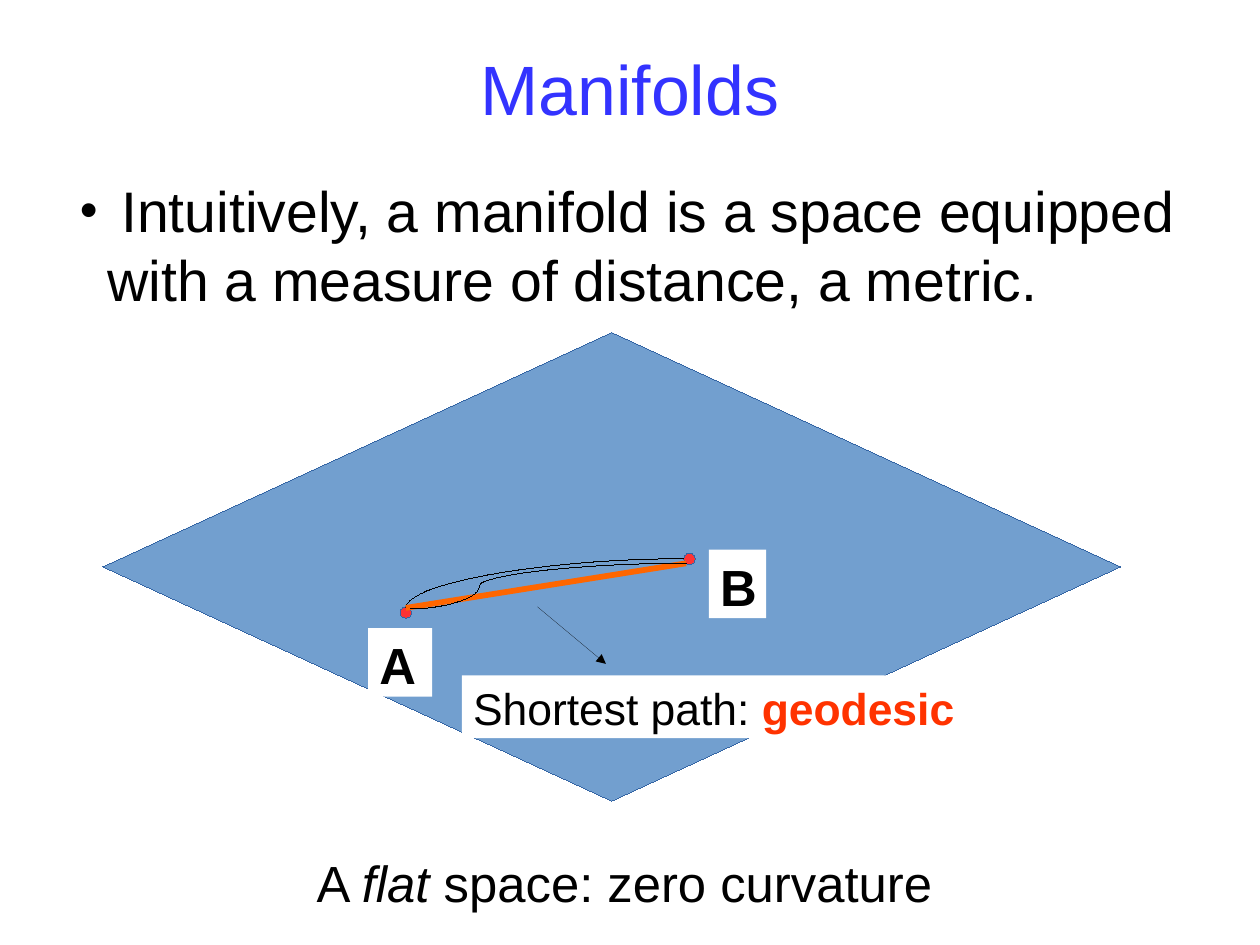
from pptx import Presentation
from pptx.dml.color import RGBColor
from pptx.enum.shapes import MSO_CONNECTOR as Link, MSO_SHAPE as Preset
from pptx.enum.text import MSO_ANCHOR as Anchor, PP_ALIGN as Align
from pptx.oxml.ns import qn
from pptx.util import Cm, Inches, Pt
from lxml.etree import SubElement

WIDTH, HEIGHT = Cm(28), Cm(21)
FONT = "Arial"
BLACK, WHITE = "000000", "FFFFFF"
OUTLINE = "3465A4"
POINT_A, POINT_B = (32.21, 64.81), (54.72, 59.13)
DOT_SIZE = (0.91, 1.21)
LABEL_HEIGHT = 7.26


def color(hex_code):
    return RGBColor.from_string(hex_code)


def place(x, y):
    """Turn percentages of the slide's width and height into lengths."""
    return round(WIDTH * x / 100), round(HEIGHT * y / 100)


def frame(left, top, width, height):
    return *place(left, top), *place(width, height)


def style_font(font, size, hex_code=BLACK, bold=None):
    font.name, font.size, font.bold = FONT, Pt(size), bold
    font.color.rgb = color(hex_code)


def style_line(line, hex_code, width=0):
    """Colour a line; the width is written even when it is a hairline's zero."""
    line.color.rgb = color(hex_code)
    line._get_or_add_ln().set("w", str(Pt(width)))


def add_title(slide, wording, box):
    title = slide.shapes.title
    title.left, title.top, title.width, title.height = frame(*box)
    text = title.text_frame
    text.margin_left = text.margin_right = text.margin_top = text.margin_bottom = 0
    text.vertical_anchor = Anchor.MIDDLE
    text.text = wording
    text.paragraphs[0].alignment = Align.CENTER
    style_font(text.paragraphs[0].font, 44, "3333FF")


def add_text(slide, box, wording, size, fill=None, bold=None, bullet=False):
    """Add a left-aligned text box and return its paragraph's runs."""
    textbox = slide.shapes.add_textbox(*frame(*box))
    if fill:
        textbox.fill.solid()
        textbox.fill.fore_color.rgb = color(fill)
    textbox.text_frame.word_wrap = True
    paragraph = textbox.text_frame.paragraphs[0]
    if bullet:
        properties = paragraph._p.get_or_add_pPr()
        properties.set("marL", str(Inches(0.24)))
        properties.set("indent", str(-Inches(0.24)))
        SubElement(properties, qn("a:buFont"), typeface=FONT)
        SubElement(properties, qn("a:buChar"), char="•")
    for part in wording:
        paragraph.add_run().text = part
    style_font(paragraph.font, size, bold=bold)
    return paragraph.runs


def add_outlined(slide, preset, box, fill):
    shape = slide.shapes.add_shape(preset, *frame(*box))
    shape.shadow.inherit = False
    shape.fill.solid()
    shape.fill.fore_color.rgb = color(fill)
    style_line(shape.line, OUTLINE)


def add_dot(slide, center):
    corner = [middle - size / 2 for middle, size in zip(center, DOT_SIZE)]
    add_outlined(slide, Preset.OVAL, (*corner, *DOT_SIZE), "FF3333")


def add_path(slide, start, end, kind=Link.STRAIGHT, hex_code=BLACK, width=0):
    path = slide.shapes.add_connector(kind, *place(*start), *place(*end))
    style_line(path.line, hex_code, width)
    SubElement(path._element.spPr, qn("a:effectLst"))
    return path


def add_arc(slide, start, end):
    """Add a quarter curve that leaves its start horizontally."""
    arc = add_path(slide, start, end, Link.CURVE)
    arc._element.spPr.find(qn("a:prstGeom")).set("prst", "curvedConnector2")


def add_detour(slide, start, end, bend):
    """Add an S-curve whose turn lies at the given share of its width."""
    detour = add_path(slide, start, end, Link.CURVE)
    adjustments = detour._element.spPr.find(qn("a:prstGeom")).find(qn("a:avLst"))
    SubElement(adjustments, qn("a:gd"), name="adj1", fmla=f"val {round(bend * 100000)}")


def add_arrow(slide, start, end):
    arrow = add_path(slide, start, end)
    SubElement(arrow.line._get_or_add_ln(), qn("a:tailEnd"), type="triangle")


def main():
    deck = Presentation()
    deck.slide_width, deck.slide_height = WIDTH, HEIGHT
    slide = deck.slides.add_slide(deck.slide_layouts[5])

    add_title(slide, "Manifolds", (5, 4, 90, 10.5))
    definition = add_text(
        slide, (5.44, 17.98, 90.74, 14.75),
        [" ", "Intuitively, a manifold is a space equipped with a measure of distance, a metric."],
        36, bullet=True)
    definition[0].font.size = Pt(32)
    curvature = add_text(slide, (24.23, 89.55, 57.44, LABEL_HEIGHT),
                         ["A ", "flat", " space: zero curvature"], 32)
    curvature[1].font.italic = True

    add_outlined(slide, Preset.DIAMOND, (8.17, 35.19, 80.76, 49.58), "729FCF")
    for point in (POINT_A, POINT_B):
        add_dot(slide, point)
    for letter, left, top, width in (("A", 29.22, 66.47, 5.08), ("B", 56.26, 58.16, 4.54)):
        add_text(slide, (left, top, width, LABEL_HEIGHT), [letter], 32, WHITE, bold=True)

    add_arc(slide, (54.26, 59.13), (32.21, 64.33))
    add_path(slide, (32.21, 64.33), (54.45, 59.61), hex_code="FF6600", width=3.6)
    add_arrow(slide, (42.65, 64.21), (48.09, 70.25))
    shortest = add_text(slide, (36.66, 71.46, 41.38, 6.65),
                        ["Shortest path: ", "geodesic"], 28, WHITE)
    style_font(shortest[1].font, 28, "FF3300", bold=True)
    add_detour(slide, (32.58, 64.45), (54.45, 59.61), 0.25)

    deck.save("out.pptx")


if __name__ == "__main__":
    main()
